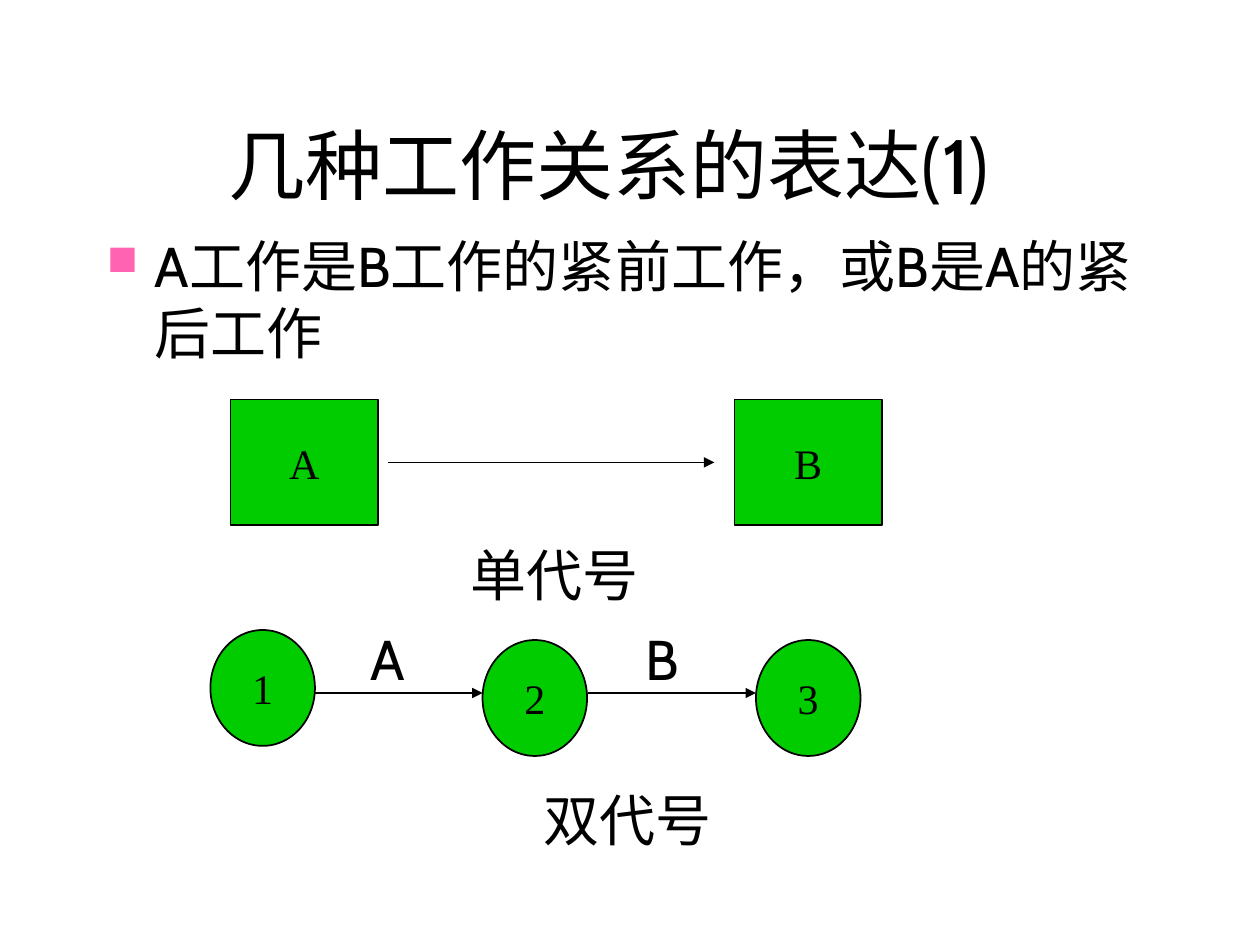
from lxml import etree
from pptx import Presentation
from pptx.dml.color import RGBColor
from pptx.enum import shapes, text
from pptx.oxml import ns
from pptx.util import Inches, Pt

BLACK = RGBColor(0x00, 0x00, 0x00)
GREEN = RGBColor(0x00, 0xCC, 0x00)
PINK = RGBColor(0xFF, 0x63, 0xB1)
SANS, SERIF = "Cabin", "Times New Roman"

deck = Presentation()
deck.slide_width, deck.slide_height = Inches(10), Inches(7.5)
slide = deck.slides.add_slide(deck.slide_layouts[6])


def write(shape, words, size, face, align=text.PP_ALIGN.CENTER):
    frame = shape.text_frame
    frame.text = words
    frame.vertical_anchor = text.MSO_ANCHOR.MIDDLE
    para = frame.paragraphs[0]
    para.alignment = align
    font = para.runs[0].font
    font.size, font.name = Pt(size), face
    font.color.rgb = BLACK
    return frame


def label(words, x, y, w, h, size, align=text.PP_ALIGN.CENTER):
    box = slide.shapes.add_textbox(Inches(x), Inches(y), Inches(w), Inches(h))
    frame = write(box, words, size, SANS, align)
    frame.word_wrap = True
    return frame


# Title
label("几种工作关系的表达(1)", 0.58, 0.67, 8.5, 1.25, 44)

# Bullet statement
frame = label("A工作是B工作的紧前工作，或B是A的紧后工作",
              0.75, 1.79, 8.5, 1.2, 32, text.PP_ALIGN.LEFT)
frame.vertical_anchor = text.MSO_ANCHOR.TOP
props = frame.paragraphs[0]._p.get_or_add_pPr()
props.set("marL", str(Inches(0.38)))
props.set("indent", str(-Inches(0.38)))
color = etree.SubElement(props, ns.qn("a:buClr"))
etree.SubElement(color, ns.qn("a:srgbClr")).set("val", str(PINK))
etree.SubElement(props, ns.qn("a:buSzPct")).set("val", "75000")
etree.SubElement(props, ns.qn("a:buChar")).set("char", "■")

# Captions and arrow names, placed by their centres
for words, x, y in [("单代号", 4.4, 4.56), ("A", 3.08, 5.22),
                    ("B", 5.26, 5.22), ("双代号", 4.98, 6.5)]:
    label(words, x - 1, y - 0.32, 2, 0.64, 32)

# Nodes: boxes above, circles below
RECT, OVAL = shapes.MSO_SHAPE.RECTANGLE, shapes.MSO_SHAPE.OVAL
for name, kind, x, y, w, h in [
    ("A", RECT, 1.83, 3.17, 1.17, 1),
    ("B", RECT, 5.83, 3.17, 1.17, 1),
    ("1", OVAL, 1.67, 5, 0.83, 0.92),
    ("2", OVAL, 3.83, 5.08, 0.83, 0.92),
    ("3", OVAL, 6, 5.08, 0.83, 0.92),
]:
    node = slide.shapes.add_shape(kind, Inches(x), Inches(y), Inches(w), Inches(h))
    node.shadow.inherit = False
    node.fill.solid()
    node.fill.fore_color.rgb = GREEN
    node.line.color.rgb = BLACK
    node.line.width = Pt(1)
    write(node, name, 24, SERIF).word_wrap = False

# Arrows
for start, end, y in [(3.08, 5.67, 3.67), (2.5, 3.83, 5.5), (4.67, 6, 5.5)]:
    arrow = slide.shapes.add_connector(
        shapes.MSO_CONNECTOR.STRAIGHT, Inches(start), Inches(y), Inches(end), Inches(y))
    arrow.line.color.rgb = BLACK
    arrow.line.width = Pt(1)
    etree.SubElement(arrow.line._get_or_add_ln(), ns.qn("a:tailEnd")).set("type", "triangle")
    etree.SubElement(arrow._element.spPr, ns.qn("a:effectLst"))

deck.save("out.pptx")
